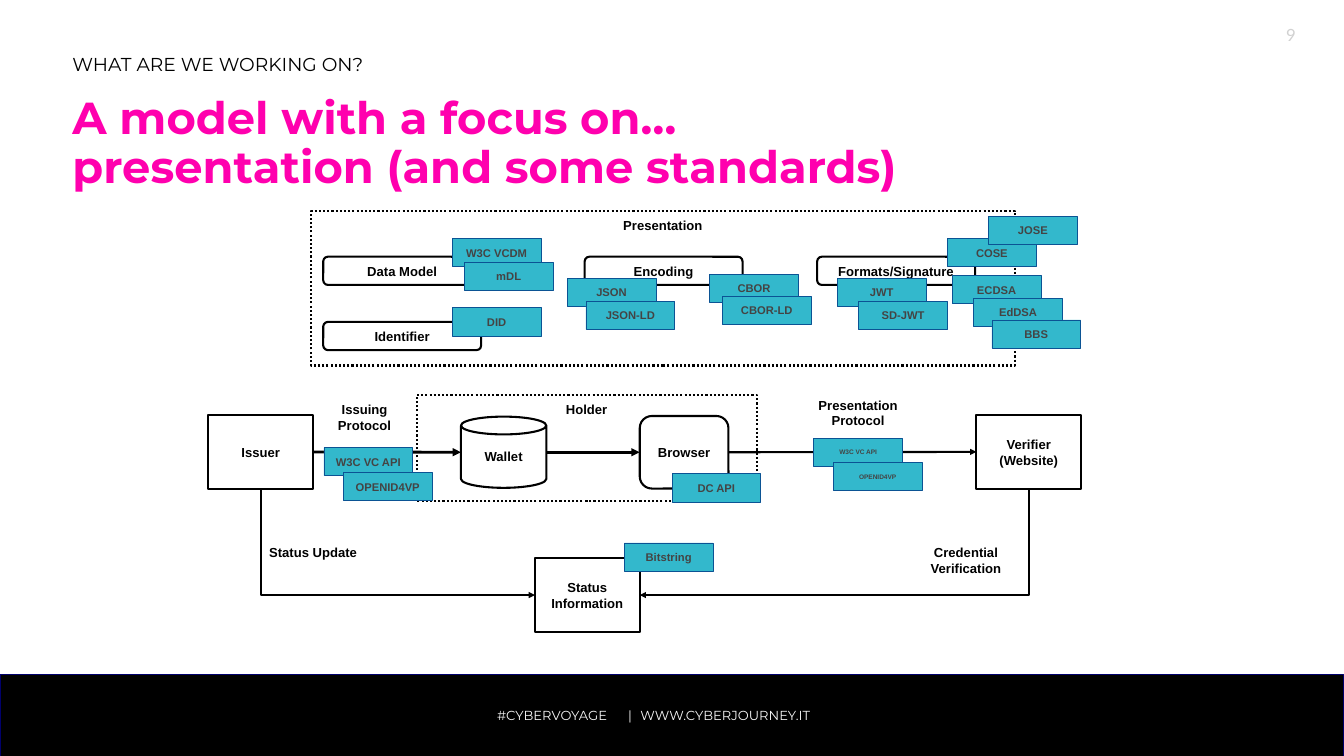
from lxml import etree
from pptx import Presentation
from pptx.dml.color import RGBColor
from pptx.enum.dml import MSO_LINE
from pptx.enum.shapes import MSO_CONNECTOR, MSO_SHAPE
from pptx.enum.text import MSO_ANCHOR, PP_ALIGN
from pptx.oxml.ns import qn
from pptx.util import Inches, Pt

RECT, ROUND, CAN = MSO_SHAPE.RECTANGLE, MSO_SHAPE.ROUNDED_RECTANGLE, MSO_SHAPE.CAN
STRAIGHT, ELBOW = MSO_CONNECTOR.STRAIGHT, MSO_CONNECTOR.ELBOW
LEFT, CENTER = PP_ALIGN.LEFT, PP_ALIGN.CENTER
TOP, MIDDLE = MSO_ANCHOR.TOP, MSO_ANCHOR.MIDDLE
DOT = MSO_LINE.ROUND_DOT
SIDE_BOTTOM, SIDE_LEFT, SIDE_RIGHT = 2, 1, 3

BLACK, WHITE = "000000", "FFFFFF"
TEAL, NAVY, GREY = "33B8CC", "0B5394", "444444"
PINK = "FF00AE"

HEADINGS = [
    ("9", (19.04, 0.32, 0.51, 0.4), "Lato", 18, "D1D1D1", False, 1),
    ("#CYBERVOYAGE\t|\tWWW.CYBERJOURNEY.IT", (7.3, 10.48, 6.57, 0.34),
     "Montserrat", 14, "F7F7F7", False, 1),
    ("A model with a focus on…\vpresentation (and some standards)",
     (0.98, 1.38, 17.04, 1.76), "Montserrat", 48, PINK, True, 0.9),
    ("WHAT ARE WE WORKING ON?", (0.98, 0.78, 6.82, 0.43),
     "Montserrat", 20, BLACK, False, 0.9),
]
FOOTER_TABS = (1.95, 2.13)

GROUPS = [
    ("Presentation", (4.63, 3.14, 10.47, 2.3)),
    ("Holder", (6.2, 5.88, 5.06, 1.57)),
]
ACTOR_SIZE = (1.56, 1.11)
ACTORS = [
    ("Issuer", RECT, (3.1, 6.17, *ACTOR_SIZE)),
    ("Wallet", CAN, (6.86, 6.2, 1.27, 1.06)),
    ("Browser", ROUND, (9.52, 6.19, 1.32, 1.08)),
    ("Verifier\n(Website)", RECT, (14.53, 6.17, *ACTOR_SIZE)),
    ("Status Information", RECT, (7.96, 8.3, *ACTOR_SIZE)),
]
LAYER_SIZE = (2.35, 0.42)
LAYERS = [
    ("Data Model", 4.81, 3.82),
    ("Identifier", 4.81, 4.79),
    ("Encoding", 8.7, 3.82),
    ("Formats/Signature", 12.16, 3.82),
]
CAPTIONS = [
    ("Credential Verification", (13.44, 8, 1.87, 0.67)),
    ("Status Update", (3.88, 8, 1.56, 0.44)),
    ("Issuing\vProtocol", (4.82, 5.88, 1.21, 0.67)),
    ("Presentation\vProtocol", (11.68, 5.81, 2.18, 0.67)),
]
STANDARD_SIZE = (1.32, 0.42)
STANDARDS = {
    7: [("W3C VC API", 12.11, 6.52), ("OPENID4VP", 12.4, 6.88)],
    12: [
        ("Bitstring", 9.29, 8.08),
        ("W3C VCDM", 6.73, 3.55), ("mDL", 6.91, 3.9), ("DID", 6.73, 4.58),
        ("CBOR", 10.56, 4.08), ("CBOR-LD", 10.75, 4.41),
        ("JSON", 8.44, 4.14), ("JSON-LD", 8.72, 4.48),
        ("JWT", 12.46, 4.14), ("SD-JWT", 12.78, 4.48),
        ("COSE", 14.1, 3.55), ("JOSE", 14.71, 3.22),
        ("ECDSA", 14.17, 4.1), ("EdDSA", 14.49, 4.44), ("BBS", 14.76, 4.76),
        ("W3C VC API", 4.82, 6.66), ("OPENID4VP", 5.11, 7.03),
        ("DC API", 10, 7.05),
    ],
}
FLOWS = [("Issuer", "Wallet", 3), ("Wallet", "Browser", 3),
         ("Browser", "Verifier\n(Website)", 2.25)]
STATUS_FLOWS = [("Issuer", 270, True), ("Verifier\n(Website)", 90, False)]

prs = Presentation()
prs.slide_width, prs.slide_height = Inches(20), Inches(11.25)
slide = prs.slides.add_slide(prs.slide_layouts[6])


def rgb(value):
    return RGBColor.from_string(value)


def write(shape, text, size=14, color=BLACK, face="Arial", bold=True,
          align=CENTER, anchor=MIDDLE, inset=0.1, spacing=1, tabs=()):
    frame = shape.text_frame
    settings = {"word_wrap": True, "vertical_anchor": anchor,
                "margin_left": Inches(0.1), "margin_right": Inches(0.1),
                "margin_top": Inches(inset), "margin_bottom": Inches(inset)}
    for key, value in settings.items():
        setattr(frame, key, value)
    frame.text = text
    for paragraph in frame.paragraphs:
        paragraph.alignment, paragraph.line_spacing = align, spacing
        if tabs:
            stops = etree.SubElement(paragraph._p.get_or_add_pPr(), qn("a:tabLst"))
            for stop in tabs:
                etree.SubElement(stops, qn("a:tab"), pos=str(Inches(stop)), algn="l")
        font = {"name": face, "size": Pt(size), "bold": bold}
        for run in paragraph.runs:
            for key, value in font.items():
                setattr(run.font, key, value)
            run.font.color.rgb = rgb(color)


def add_box(kind, place, fill=WHITE, line=BLACK, width=2.25, dash=None):
    box = slide.shapes.add_shape(kind, *map(Inches, place))
    box.shadow.inherit = False
    box.fill.solid()
    box.fill.fore_color.rgb = rgb(fill)
    box.line.color.rgb = rgb(line)
    box.line.width = Pt(width)
    if dash:
        box.line.dash_style = dash
    return box


def add_label(place):
    return slide.shapes.add_textbox(*map(Inches, place))


def add_arrow(kind, source, source_side, target, target_side, width):
    x1 = source.left + source.width
    x2, y = target.left, source.top + source.height // 2
    arrow = slide.shapes.add_connector(kind, x1, y, x2, target.top + target.height // 2)
    if source.auto_shape_type != CAN:
        arrow.begin_connect(source, source_side)
    if target.auto_shape_type != CAN:
        arrow.end_connect(target, target_side)
    arrow.line.color.rgb = rgb(BLACK)
    arrow.line.width = Pt(width)
    etree.SubElement(arrow.line._get_or_add_ln(), qn("a:tailEnd"), type="triangle")
    etree.SubElement(arrow._element.spPr, qn("a:effectLst"))
    return arrow


def bend_once(arrow, angle, flipped):
    left, top, width, height = arrow.left, arrow.top, arrow.width, arrow.height
    arrow.left, arrow.top = left + (width - height) // 2, top + (height - width) // 2
    arrow.width, arrow.height = height, width
    properties = arrow._element.spPr
    transform = properties.find(qn("a:xfrm"))
    transform.set("rot", str(angle * 60000))
    transform.set("flipH", str(int(flipped)))
    transform.set("flipV", "0")
    properties.find(qn("a:prstGeom")).set("prst", "bentConnector2")


add_box(RECT, (0, 10.04, 20, 1.21), BLACK, "00006B", 1)
for text, place, face, size, color, bold, spacing in HEADINGS:
    write(add_label(place), text, size, color, face, bold, LEFT, TOP, 0.05, spacing,
          FOOTER_TABS if "\t" in text else ())

for text, place in GROUPS:
    write(add_box(RECT, place, dash=DOT), text, anchor=TOP)

actors = {}
for text, kind, place in ACTORS:
    actors[text] = add_box(kind, place)
    write(actors[text], text)

for source, target, width in FLOWS:
    add_arrow(STRAIGHT, actors[source], SIDE_RIGHT, actors[target], SIDE_LEFT, width)
for source, angle, flipped in STATUS_FLOWS:
    side = SIDE_LEFT if flipped else SIDE_RIGHT
    arrow = add_arrow(ELBOW, actors[source], SIDE_BOTTOM,
                      actors["Status Information"], side, 2.25)
    bend_once(arrow, angle, flipped)

for text, place in CAPTIONS:
    write(add_label(place), text, anchor=TOP)
for text, left, top in LAYERS:
    write(add_box(ROUND, (left, top, *LAYER_SIZE)), text)
for size, standards in STANDARDS.items():
    for text, left, top in standards:
        write(add_box(RECT, (left, top, *STANDARD_SIZE), TEAL, NAVY, 0.75), text, size, GREY)

prs.save("out.pptx")
